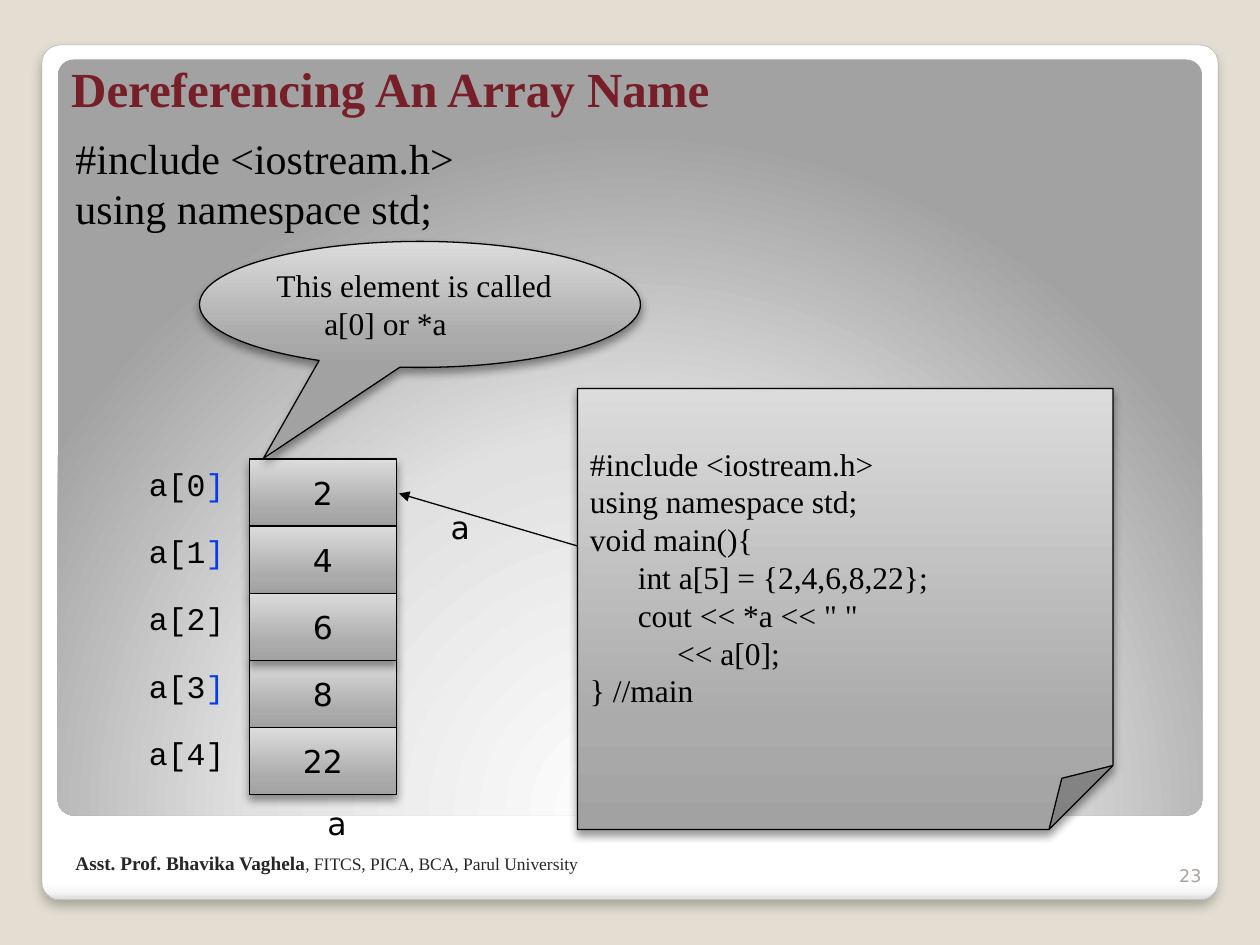
from dataclasses import dataclass
from typing import NamedTuple, Optional

from pptx import Presentation
from pptx.dml.color import RGBColor
from pptx.enum.shapes import MSO_CONNECTOR, MSO_SHAPE as Preset
from pptx.enum.text import MSO_ANCHOR as Anchor, PP_ALIGN as Align
from pptx.oxml import parse_xml
from pptx.oxml.ns import nsdecls, qn
from pptx.util import Emu, Inches, Pt

COLUMNS, ROWS = 120, 90
UNIT = Inches(10) / COLUMNS


class Box(NamedTuple):
    column: float
    row: float
    columns: float
    rows: float

    def lengths(self) -> list[Emu]:
        return [Emu(round(value * UNIT)) for value in self]


class Shadow(NamedTuple):
    opacity: int
    blur: float
    distance: float


class Gradient(NamedTuple):
    stops: tuple
    direction: str


class Style(NamedTuple):
    font: str
    size: int
    color: str
    bold: bool = False


@dataclass(frozen=True)
class Theme:
    background: str = "E3DED1"
    outline: str = "000000"
    frame_line: str = "A4A4A4"
    frame: Gradient = Gradient(
        ((0, "FFFFFF"), (98, "FFFFFF"), (99, "F7F7F7"), (100, "DADADA")),
        '<a:lin ang="5400000" scaled="0"/>')
    panel: Gradient = Gradient(
        ((0, "FFFFFF"), (55, "E1E1E1"), (100, "A2A2A2")),
        '<a:path path="circle"><a:fillToRect l="50000" t="175000" r="50000" b="-75000"/></a:path>')
    steel: Gradient = Gradient(
        ((0, "A2A2A2"), (25, "ABABAB"), (100, "DCDCDC")),
        '<a:lin ang="16200000" scaled="0"/>')
    frame_shadow: Shadow = Shadow(25, 6, 4)
    shadow: Shadow = Shadow(40, 5.2, 3)
    title: Style = Style("Times New Roman", 28, "771F28", True)
    body: Style = Style("Times New Roman", 24, "000000")
    code: Style = Style("Times New Roman", 18, "000000")
    value: Style = Style("DejaVu Sans", 18, "000000")
    index: Style = Style("Courier New", 18, "000000")
    bracket: Style = Style("Courier New", 18, "063DE8")
    number: Style = Style("DejaVu Sans", 10, "A8A49B")
    author: Style = Style("Times New Roman", 11, "262626", True)
    school: Style = Style("Times New Roman", 10, "262626")


THEME = Theme()


class Element(NamedTuple):
    text: str
    index: tuple


ELEMENTS = (
    Element("2", (("a[0", THEME.index), ("]", THEME.bracket))),
    Element("4", (("a[1", THEME.index), ("]", THEME.bracket))),
    Element("6", (("a[2]", THEME.index),)),
    Element("8", (("a[3", THEME.index), ("]", THEME.bracket))),
    Element("22", (("a[4]", THEME.index),)),
)
STACKING = (0, 1, 3, 2, 4)
ARRAY = Box(23.76, 43.7, 14, 6.4)

INCLUDES = ("#include <iostream.h>", "using namespace std;")
PROGRAM = INCLUDES + (
    "void main(){",
    "\tint a[5] = {2,4,6,8,22};",
    '\tcout << *a << " "',
    "\t     << a[0];",
    "} //main",
)


def styled(lines: tuple, style: Style) -> list:
    return [((line, style),) for line in lines]


def write(shape, paragraphs: list, anchor=Anchor.TOP, align=Align.LEFT,
          wrap: bool = True, hanging: bool = True) -> None:
    frame = shape.text_frame
    frame.word_wrap = wrap
    frame.vertical_anchor = anchor
    for position, runs in enumerate(paragraphs):
        paragraph = frame.add_paragraph() if position else frame.paragraphs[0]
        paragraph.alignment = align
        if hanging:
            properties = paragraph._p.get_or_add_pPr()
            properties.set("marL", str(Inches(0.38)))
            properties.set("indent", str(-Inches(0.38)))
        for text, style in runs:
            run = paragraph.add_run()
            run.text = text
            run.font.name = style.font
            run.font.size = Pt(style.size)
            run.font.bold = style.bold
            run.font.color.rgb = RGBColor.from_string(style.color)


def add_text(slide, box: Box, paragraphs: list, **options) -> None:
    write(slide.shapes.add_textbox(*box.lengths()), paragraphs, **options)


def paint(shape, gradient: Gradient) -> None:
    stops = "".join(
        f'<a:gs pos="{position * 1000}"><a:srgbClr val="{color}"/></a:gs>'
        for position, color in gradient.stops)
    shape.fill.gradient()
    properties = shape._element.spPr
    properties.replace(properties.find(qn("a:gradFill")), parse_xml(
        f'<a:gradFill {nsdecls("a")} rotWithShape="1"><a:gsLst>{stops}</a:gsLst>'
        f'{gradient.direction}</a:gradFill>'))


def adjust(shape, **guides: float) -> None:
    geometry = shape._element.spPr.find(qn("a:prstGeom"))
    for child in list(geometry):
        geometry.remove(child)
    values = "".join(f'<a:gd name="{name}" fmla="val {round(share * 100000)}"/>'
                     for name, share in guides.items())
    geometry.append(parse_xml(f'<a:avLst {nsdecls("a")}>{values}</a:avLst>'))


def add_shape(slide, preset, box: Box, gradient: Gradient,
              line: Optional[str] = THEME.outline, width: float = 0.75,
              shadow: Optional[Shadow] = THEME.shadow, **guides: float):
    shape = slide.shapes.add_shape(preset, *box.lengths())
    adjust(shape, **guides)
    paint(shape, gradient)
    if line:
        shape.line.color.rgb = RGBColor.from_string(line)
        shape.line.width = Pt(width)
    else:
        shape.line.fill.background()
    shape.shadow.inherit = False
    if shadow:
        shape._element.spPr.find(qn("a:effectLst")).append(parse_xml(
            f'<a:outerShdw {nsdecls("a")} blurRad="{Pt(shadow.blur)}" '
            f'dist="{Pt(shadow.distance)}" dir="5400000" rotWithShape="0">'
            f'<a:srgbClr val="000000"><a:alpha val="{shadow.opacity * 1000}"/></a:srgbClr>'
            f'</a:outerShdw>'))
    return shape


def add_arrow(slide, start: tuple, end: tuple) -> None:
    points = [Emu(round(value * UNIT)) for value in start + end]
    arrow = slide.shapes.add_connector(MSO_CONNECTOR.STRAIGHT, *points)
    arrow.line.color.rgb = RGBColor.from_string(THEME.outline)
    arrow.line.width = Pt(0.75)
    line = arrow._element.spPr.find(qn("a:ln"))
    line.append(parse_xml(f'<a:tailEnd {nsdecls("a")} type="triangle"/>'))
    arrow._element.spPr.append(parse_xml(f'<a:effectLst {nsdecls("a")}/>'))


def add_array(slide) -> None:
    tops = [ARRAY.row + position * ARRAY.rows for position in range(len(ELEMENTS))]
    for position in STACKING:
        cell = add_shape(slide, Preset.RECTANGLE, ARRAY._replace(row=tops[position]), THEME.steel)
        write(cell, styled((ELEMENTS[position].text,), THEME.value),
              anchor=Anchor.MIDDLE, align=Align.CENTER, wrap=False)
    for element, top in zip(ELEMENTS, tops):
        add_text(slide, Box(13, top, 10, 5.2), [element.index], wrap=False)
    for column, row in ((30, 76), (41.75, 47.75)):
        add_text(slide, Box(column, row, 4.3, 5.2), styled(("a",), THEME.value), wrap=False)


def main() -> None:
    presentation = Presentation()
    presentation.slide_width = Emu(round(COLUMNS * UNIT))
    presentation.slide_height = Emu(round(ROWS * UNIT))
    slide = presentation.slides.add_slide(presentation.slide_layouts[6])
    slide.background.fill.solid()
    slide.background.fill.fore_color.rgb = RGBColor.from_string(THEME.background)
    add_shape(slide, Preset.ROUNDED_RECTANGLE, Box(4, 4.3, 112, 81.4), THEME.frame,
              THEME.frame_line, 0.16, THEME.frame_shadow, adj=0.021)
    add_shape(slide, Preset.ROUNDED_RECTANGLE, Box(5.5, 5.67, 109, 72), THEME.panel,
              line=None, shadow=None, adj=0.021)
    add_text(slide, Box(5.6, 0, 107.4, 11.75), styled(("Dereferencing An Array Name",), THEME.title),
             anchor=Anchor.BOTTOM, hanging=False)
    add_text(slide, Box(6, 12, 110, 67.4), styled(INCLUDES, THEME.body))
    note = add_shape(slide, Preset.FOLDED_CORNER, Box(55, 37, 51, 42), THEME.steel, adj=0.145)
    write(note, styled(PROGRAM, THEME.code), anchor=Anchor.MIDDLE, wrap=False)
    add_array(slide)
    add_arrow(slide, (55, 52), (38, 47))
    callout = add_shape(slide, Preset.OVAL_CALLOUT, Box(19, 23, 42, 12), THEME.steel,
                        adj1=-0.355, adj2=1.222)
    write(callout, styled(("This element is called a[0] or *a",), THEME.code))
    add_text(slide, Box(109.6, 80.2, 6, 4.8), styled(("23",), THEME.number),
             anchor=Anchor.BOTTOM, align=Align.RIGHT, hanging=False)
    add_text(slide, Box(6, 80, 55, 3.84),
             [(("Asst. Prof. Bhavika Vaghela", THEME.author),
               (", FITCS, PICA, BCA, Parul University", THEME.school))],
             anchor=Anchor.BOTTOM, hanging=False)
    presentation.save("out.pptx")


if __name__ == "__main__":
    main()
